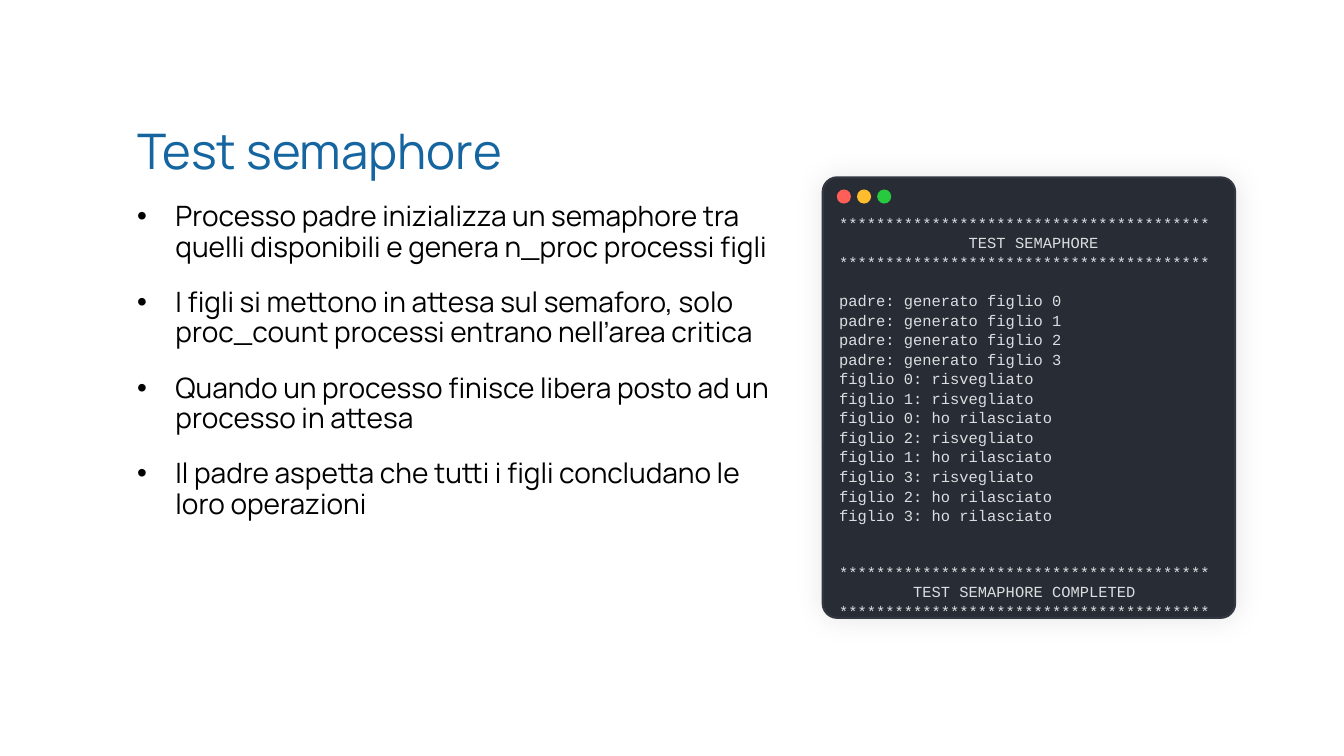
from lxml import etree
from pptx import Presentation
from pptx import util as u
from pptx.dml.color import RGBColor
from pptx.enum import shapes, text
from pptx.oxml import ns

COLORS = {
    "title": "1566A0", "body": "000000",
    "terminal": "282C34", "border": "323742", "output": "DBDEE1",
    "close": "FF5F56", "minimise": "FFBD2E", "zoom": "27C93F",
}
POINTS = [
    "Processo padre inizializza un semaphore tra quelli disponibili e genera n_proc processi figli",
    "I figli si mettono in attesa sul semaforo, solo proc_count processi entrano nell’area critica",
    "Quando un processo finisce libera posto ad un processo in attesa",
    "Il padre aspetta che tutti i figli concludano le loro operazioni",
]
STARS = "*" * 40
EVENTS = [(0, "risvegliato"), (1, "risvegliato"), (0, "ho rilasciato"),
          (2, "risvegliato"), (1, "ho rilasciato"), (3, "risvegliato"),
          (2, "ho rilasciato"), (3, "ho rilasciato")]
LINE_HEIGHT = 13.2
# Lines of each output block, and the number of empty lines after it
BLOCKS = [
    ([STARS, "              TEST SEMAPHORE", STARS], 1),
    ([f"padre: generato figlio {child}" for child in range(4)]
     + [f"figlio {child}: {event}" for child, event in EVENTS], 2),
    ([STARS, "        TEST SEMAPHORE COMPLETED", STARS], 0),
]


def style(para, font_name, size, color, spacing):
    para.alignment = text.PP_ALIGN.LEFT
    para.line_spacing = spacing
    para.space_before = u.Pt(0)
    para.font.name = font_name
    para.font.size = u.Pt(size)
    para.font.color.rgb = RGBColor.from_string(COLORS[color])


def add_window_part(kind, left, top, width, height, fill):
    """Add a filled shape without a shadow to the terminal window."""
    part = window.shapes.add_shape(kind, *map(u.Inches, (left, top, width, height)))
    part.shadow.inherit = False
    part.fill.solid()
    part.fill.fore_color.rgb = RGBColor.from_string(COLORS[fill])
    part.line.fill.background()
    return part


deck = Presentation()
deck.slide_width, deck.slide_height = u.Inches(13.33), u.Inches(7.5)
page = deck.slides.add_slide(deck.slide_layouts[1])

title, body = page.shapes.title, page.placeholders[1]
for box, place in ((title, (1.26, 1.21, 4.26, 0.69)), (body, (1.26, 1.96, 6.62, 4.22))):
    box.left, box.top, box.width, box.height = map(u.Inches, place)
    box.text_frame.auto_size = text.MSO_AUTO_SIZE.NONE
    box.text_frame.vertical_anchor = text.MSO_ANCHOR.TOP
    box.text_frame.word_wrap = True

title.text_frame.text = "Test semaphore"
style(title.text_frame.paragraphs[0], "Manrope", 35, "title", 0.9)

body.text_frame.text = "\n".join(POINTS)
for para in body.text_frame.paragraphs:
    props = para._p.get_or_add_pPr()
    props.set("marL", str(u.Inches(0.38)))
    props.set("indent", str(-u.Inches(0.38)))
    etree.SubElement(props, ns.qn("a:buFont"), typeface="Arial")
    etree.SubElement(props, ns.qn("a:buChar"), char="•")
    style(para, "Manrope", 20, "body", 0.9)
    para.space_after = u.Pt(18)

window = page.shapes.add_group_shape()
terminal = add_window_part(shapes.MSO_SHAPE.ROUNDED_RECTANGLE, 8.16, 1.76, 4.09, 4.37, "terminal")
terminal.adjustments[0] = 0.035
terminal.line.color.rgb = RGBColor.from_string(COLORS["border"])
terminal.line.width = u.Pt(1.5)
effects = terminal._element.spPr.find(ns.qn("a:effectLst"))
glow = etree.SubElement(effects, ns.qn("a:outerShdw"), blurRad=str(u.Pt(20)),
                        dist="0", dir="0", algn="ctr", rotWithShape="0")
shade = etree.SubElement(glow, ns.qn("a:srgbClr"), val="000000")
etree.SubElement(shade, ns.qn("a:alpha"), val="10000")

frame = terminal.text_frame
frame.word_wrap = True
frame.vertical_anchor = text.MSO_ANCHOR.TOP
frame.margin_left = frame.margin_right = frame.margin_bottom = u.Inches(0.12)
frame.margin_top = u.Inches(0.31)
frame.text = "\n".join("\v".join(lines) for lines, _ in BLOCKS)
for para, (_, empty_lines) in zip(frame.paragraphs, BLOCKS):
    style(para, "Courier New", 11, "output", 1.06)
    para.space_after = u.Pt(LINE_HEIGHT * empty_lines)

for index, button in enumerate(("close", "minimise", "zoom")):
    add_window_part(shapes.MSO_SHAPE.OVAL, 8.3 + 0.2 * index, 1.88, 0.14, 0.14, button)

deck.save("out.pptx")
